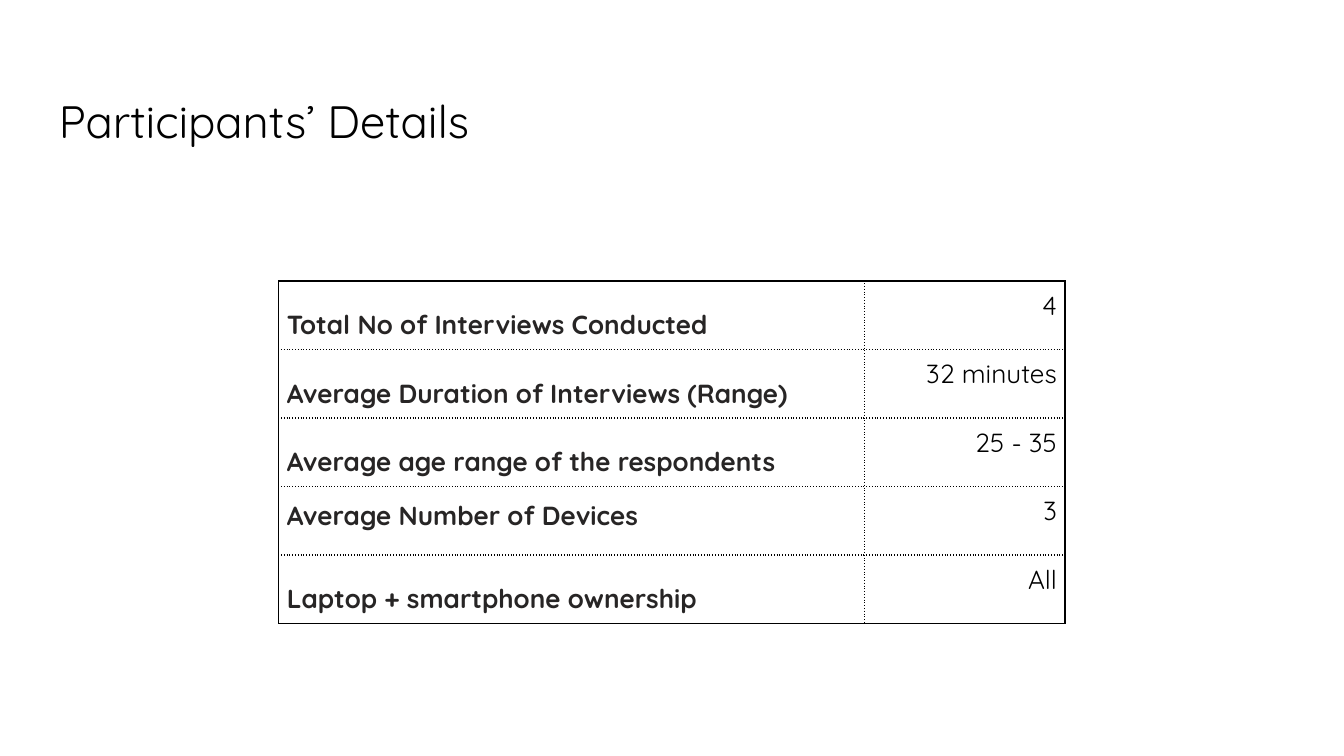
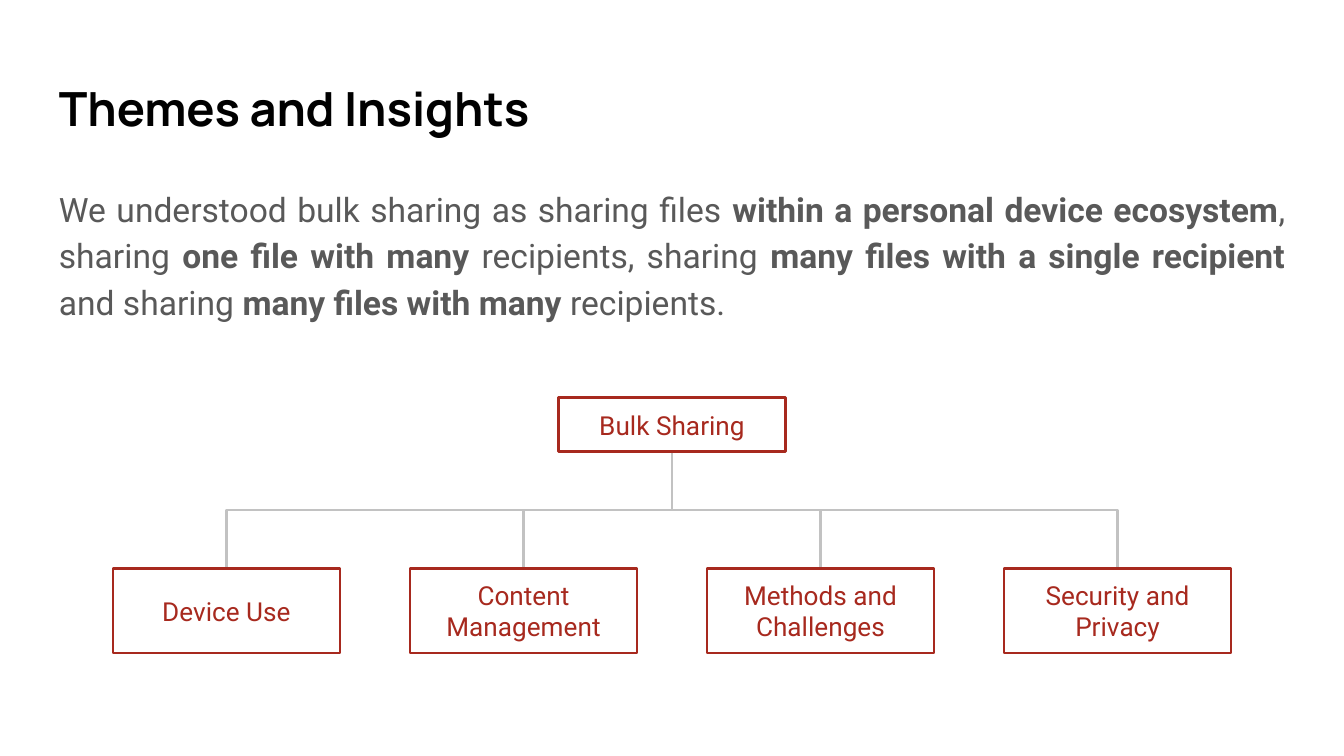
"""Builds two slides: a table of participants' details and a tree of themes."""
from pptx import Presentation, util as u
from pptx.dml.color import RGBColor
from pptx.enum import shapes as es, text as et
from pptx.oxml.ns import qn
from lxml import etree

WIDE = 10
HIGH = WIDE * 9 / 16
EDGE = 0.34
BLACK, INK, GREY, RED, LINE = "000000", "272525", "595959", "A7291E", "C2C2C2"
ALIGN = et.PP_ALIGN

FACTS = [
    ("Total No of Interviews Conducted", "4", 1.6),
    ("Average Duration of Interviews (Range)", "32 minutes", 1.6),
    ("Average age range of the respondents", "25 - 35", 1.6),
    ("Average Number of Devices", "3", 1.15),
    ("Laptop + smartphone ownership", "All", 1.6),
]
COLS, ROW = (4.36, 1.49), 0.51

INTRO = [
    ("We understood bulk sharing as sharing files ", False),
    ("within a personal device ecosystem", True),
    (", sharing ", False),
    ("one file with many", True),
    (" recipients, sharing ", False),
    ("many files with a single recipient ", True),
    ("and sharing ", False),
    ("many files with many", True),
    (" recipients.", False),
]
ROOT = "Bulk Sharing"
THEMES = ["Device Use", "Content Management", "Methods and Challenges", "Security and Privacy"]
BOX, GAP = 1.69, 0.52
ROOT_TOP, ROOT_H = 2.96, 0.4
LEAF_TOP, LEAF_H = 4.23, 0.63


def tint(code):
    return RGBColor.from_string(code)


def write(frame, runs, font, size, code, align=ALIGN.LEFT, lead=None, after=None):
    para = frame.paragraphs[0]
    para.alignment = align
    para.line_spacing = lead
    if after:
        para.space_after = u.Pt(after)
    for words, bold in runs:
        run = para.add_run()
        run.text = words
        run.font.name, run.font.size, run.font.bold = font, u.Pt(size), bold
        run.font.color.rgb = tint(code)


def pad(part, size=0.1):
    part.margin_left = part.margin_right = u.Inches(size)
    part.margin_top = part.margin_bottom = u.Inches(size)


def block(slide, top, high):
    spot = map(u.Inches, (EDGE, top, WIDE - 2 * EDGE, high))
    frame = slide.shapes.add_textbox(*spot).text_frame
    frame.word_wrap = True
    pad(frame)
    return frame


def title(slide, words, font, size, bold=False, lead=None):
    write(block(slide, 0.49, 0.63), [(words, bold)], font, size, BLACK, lead=lead)


def rule(cell, sides):
    props = cell._tc.get_or_add_tcPr()
    for side, dash in sides.items():
        line = etree.SubElement(props, qn("a:ln" + side), w=str(u.Pt(0.75)))
        fill = etree.SubElement(line, qn("a:solidFill"))
        etree.SubElement(fill, qn("a:srgbClr"), val=BLACK)
        etree.SubElement(line, qn("a:prstDash"), val=dash)


def facts(slide):
    wide, count = sum(COLS), len(FACTS)
    spot = map(u.Inches, ((WIDE - wide) / 2, 2.09, wide, ROW * count))
    table = slide.shapes.add_table(count, len(COLS), *spot).table
    table.first_row = table.horz_banding = False
    for col, size in zip(table.columns, COLS):
        col.width = u.Inches(size)
    for i, (label, value, lead) in enumerate(FACTS):
        name, data = table.cell(i, 0), table.cell(i, 1)
        top = "dot" if i else "solid"
        low = "dot" if i < count - 1 else "solid"
        rule(name, {"L": "solid", "R": "dot", "T": top, "B": low})
        rule(data, {"L": "dot", "R": "solid", "T": top, "B": low})
        for cell in (name, data):
            cell.fill.background()
            pad(cell, 0.06)
        write(name.text_frame, [(label, True)], "Quicksand", 14, INK, lead=lead)
        write(data.text_frame, [(value, False)], "Quicksand", 14, BLACK, ALIGN.RIGHT)


def node(slide, words, mid, top, high):
    spot = map(u.Inches, (mid - BOX / 2, top, BOX, high))
    box = slide.shapes.add_shape(es.MSO_SHAPE.RECTANGLE, *spot)
    box.shadow.inherit = False
    box.fill.background()
    box.line.color.rgb, box.line.width = tint(RED), u.Pt(1.5)
    frame = box.text_frame
    frame.word_wrap = True
    frame.vertical_anchor = et.MSO_ANCHOR.MIDDLE
    pad(frame)
    write(frame, [(words, False)], "Roboto", 14, RED, ALIGN.CENTER)
    return box


def link(slide, root, leaf):
    line = slide.shapes.add_connector(es.MSO_CONNECTOR.ELBOW, 0, 0, 0, 0)
    line.begin_connect(root, 2)
    line.end_connect(leaf, 0)
    line.line.color.rgb, line.line.width = tint(LINE), u.Pt(1.5)
    props = line._element.spPr
    etree.SubElement(props, qn("a:effectLst"))
    start, end = root.left + root.width // 2, leaf.left + leaf.width // 2
    upper, lower = root.top + root.height, leaf.top
    run, drop = abs(end - start), lower - upper
    form = props.find(qn("a:xfrm"))
    form.attrib.clear()
    form.set("rot", str((270 if end > start else 90) * 60000))
    if end > start:
        form.set("flipH", "1")
    line.left, line.top = (start + end - drop) // 2, (upper + lower - run) // 2
    line.width, line.height = drop, run
    slide.shapes._spTree.insert(2, line._element)


def tree(slide):
    root = node(slide, ROOT, WIDE / 2, ROOT_TOP, ROOT_H)
    for i, words in enumerate(THEMES):
        mid = WIDE / 2 + (i - (len(THEMES) - 1) / 2) * (BOX + GAP)
        link(slide, root, node(slide, words, mid, LEAF_TOP, LEAF_H))


def main():
    deck = Presentation()
    deck.slide_width, deck.slide_height = u.Inches(WIDE), u.Inches(HIGH)
    first, second = (deck.slides.add_slide(deck.slide_layouts[6]) for _ in range(2))
    title(first, "Participants’ Details", "Quicksand", 24.3, lead=1.25)
    facts(first)
    title(second, "Themes and Insights", "Manrope", 25.2, bold=True)
    tree(second)
    write(block(second, 1.26, 1.25), INTRO, "Roboto", 18, GREY, ALIGN.JUSTIFY, 1.15, 12)
    deck.save("out.pptx")


if __name__ == "__main__":
    main()
